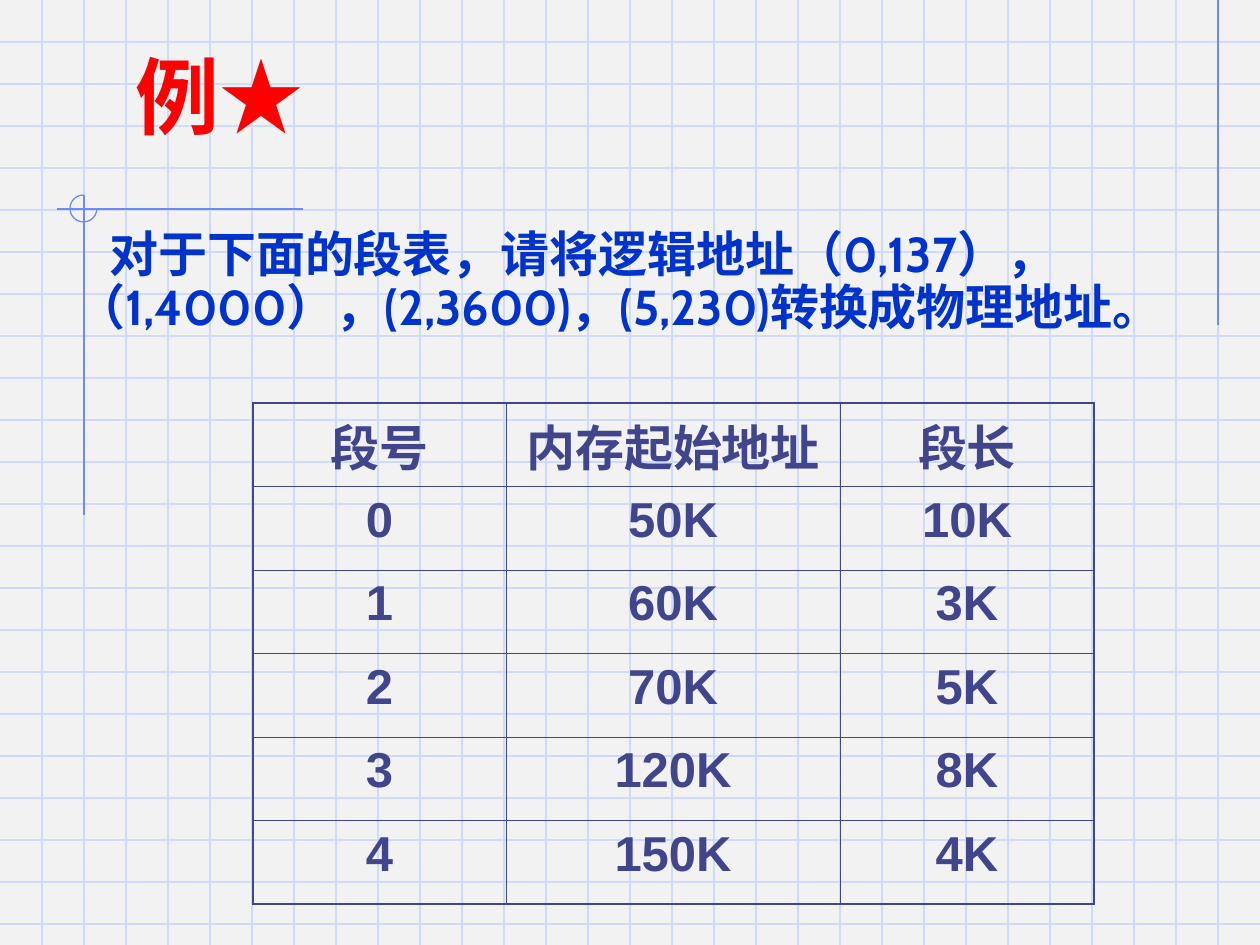
from lxml import etree
from pptx import Presentation
from pptx.dml.color import RGBColor
from pptx.enum.shapes import MSO_CONNECTOR, MSO_SHAPE
from pptx.enum.text import MSO_ANCHOR, MSO_AUTO_SIZE, PP_ALIGN
from pptx.oxml.ns import qn
from pptx.util import Emu, Pt

STRAIGHT = MSO_CONNECTOR.STRAIGHT
ARC = MSO_SHAPE.ARC
BOTTOM = MSO_ANCHOR.BOTTOM
TOP = MSO_ANCHOR.TOP
NO_FIT = MSO_AUTO_SIZE.NONE
LEFT = PP_ALIGN.LEFT
CENTER = PP_ALIGN.CENTER

PAPER = RGBColor(0xF2, 0xF2, 0xF2)
GRID = RGBColor(0xCF, 0xDB, 0xFD)
ORNAMENT = RGBColor(0x6F, 0x89, 0xF7)
RED = RGBColor(0xFF, 0x00, 0x00)
BLUE = RGBColor(0x00, 0x33, 0xCC)
INDIGO = RGBColor(0x40, 0x45, 0x8C)

WIDTH, HEIGHT, PITCH = 1260, 945, 42
CJK = "Noto Sans CJK SC"

QUESTION = "对于下面的段表，请将逻辑地址（0,137），（1,4000），(2,3600)，(5,230)转换成物理地址。"
SEGMENTS = [
    ("段号", "内存起始地址", "段长"),
    ("0", "50K", "10K"),
    ("1", "60K", "3K"),
    ("2", "70K", "5K"),
    ("3", "120K", "8K"),
    ("4", "150K", "4K"),
]


def px(length):
    return Emu(round(length * 914400 / 126))


class SlideBuilder:
    heading_size = Pt(48)
    text_size = Pt(28)
    line_width = Pt(0.75)
    inner_border = Pt(0.45)
    outer_border = Pt(1.08)

    def __init__(self, slide):
        self.slide = slide
        fill = slide.background.fill
        fill.solid()
        fill.fore_color.rgb = PAPER

    def format_run(self, run, size, color, latin):
        font = run.font
        font.size = size
        font.bold = True
        font.color.rgb = color
        font.name = latin
        east_asian = etree.SubElement(run._r.rPr, qn("a:ea"))
        east_asian.set("typeface", CJK)

    def line(self, x1, y1, x2, y2, color):
        connector = self.slide.shapes.add_connector(
            STRAIGHT, px(x1), px(y1), px(x2), px(y2))
        connector.line.color.rgb = color
        connector.line.width = self.line_width
        etree.SubElement(connector._element.spPr, qn("a:effectLst"))

    def three_quarter_circle(self, x, y, diameter):
        arc = self.slide.shapes.add_shape(
            ARC, px(x), px(y), px(diameter), px(diameter))
        arc.adjustments[0] = 0
        arc.adjustments[1] = 162
        arc.shadow.inherit = False
        arc.fill.background()
        arc.line.color.rgb = ORNAMENT
        arc.line.width = self.line_width

    def title(self, x, y, width, height, pieces):
        title = self.slide.shapes.title
        title._element.getparent().append(title._element)
        title.left, title.top = px(x), px(y)
        title.width, title.height = px(width), px(height)
        frame = title.text_frame
        frame.auto_size = NO_FIT
        frame.vertical_anchor = BOTTOM
        paragraph = frame.paragraphs[0]
        paragraph.alignment = LEFT
        for text, latin in pieces:
            run = paragraph.add_run()
            run.text = text
            self.format_run(run, self.heading_size, RED, latin)

    def paragraph_box(self, x, y, width, height, text, indent):
        box = self.slide.shapes.add_textbox(px(x), px(y), px(width), px(height))
        frame = box.text_frame
        frame.word_wrap = True
        frame.vertical_anchor = TOP
        frame.text = text
        paragraph = frame.paragraphs[0]
        paragraph.line_spacing = 0.9
        properties = paragraph._p.get_or_add_pPr()
        properties.set("marL", "0")
        properties.set("indent", str(px(indent)))
        self.format_run(paragraph.runs[0], self.text_size, BLUE, "Cabin")

    def border(self, cell, side, width):
        line = etree.SubElement(
            cell._tc.get_or_add_tcPr(), qn(f"a:ln{side}"), w=str(width))
        fill = etree.SubElement(line, qn("a:solidFill"))
        etree.SubElement(fill, qn("a:srgbClr"), val=str(INDIGO))

    def table(self, x, y, column_widths, height, rows):
        table = self.slide.shapes.add_table(
            len(rows), len(column_widths), px(x), px(y),
            px(sum(column_widths)), px(height)).table
        table.first_row = False
        table.horz_banding = False
        for column, width in zip(table.columns, column_widths):
            column.width = px(width)
        last_row, last_column = len(rows) - 1, len(column_widths) - 1
        for r, row in enumerate(rows):
            for c, text in enumerate(row):
                cell = table.cell(r, c)
                cell.text_frame.text = text
                paragraph = cell.text_frame.paragraphs[0]
                paragraph.alignment = CENTER
                self.format_run(paragraph.runs[0], self.text_size, INDIGO, "Arial")
                outer_sides = {"L": c == 0, "R": c == last_column,
                               "T": r == 0, "B": r == last_row}
                for side, outer in outer_sides.items():
                    self.border(cell, side,
                                self.outer_border if outer else self.inner_border)
                cell.fill.background()


def main():
    presentation = Presentation()
    presentation.slide_width = px(WIDTH)
    presentation.slide_height = px(HEIGHT)
    builder = SlideBuilder(
        presentation.slides.add_slide(presentation.slide_layouts[5]))

    for y in range(PITCH, HEIGHT, PITCH):
        builder.line(0, y, WIDTH, y, GRID)
    for x in range(PITCH, WIDTH, PITCH):
        builder.line(x, 0, x, HEIGHT, GRID)

    builder.line(1218, 0, 1218, 325, ORNAMENT)
    builder.line(303, 209, 57, 209, ORNAMENT)
    builder.line(84, 195, 84, 515, ORNAMENT)
    builder.three_quarter_circle(70, 195, 27)

    builder.title(123, 35, 1043, 117, [("例", "Cabin"), ("★", CJK)])
    builder.paragraph_box(64, 224, 1154, 198, QUESTION, indent=33)
    builder.table(253, 403, (253, 334, 254), 501, SEGMENTS)

    presentation.save("out.pptx")


if __name__ == "__main__":
    main()
